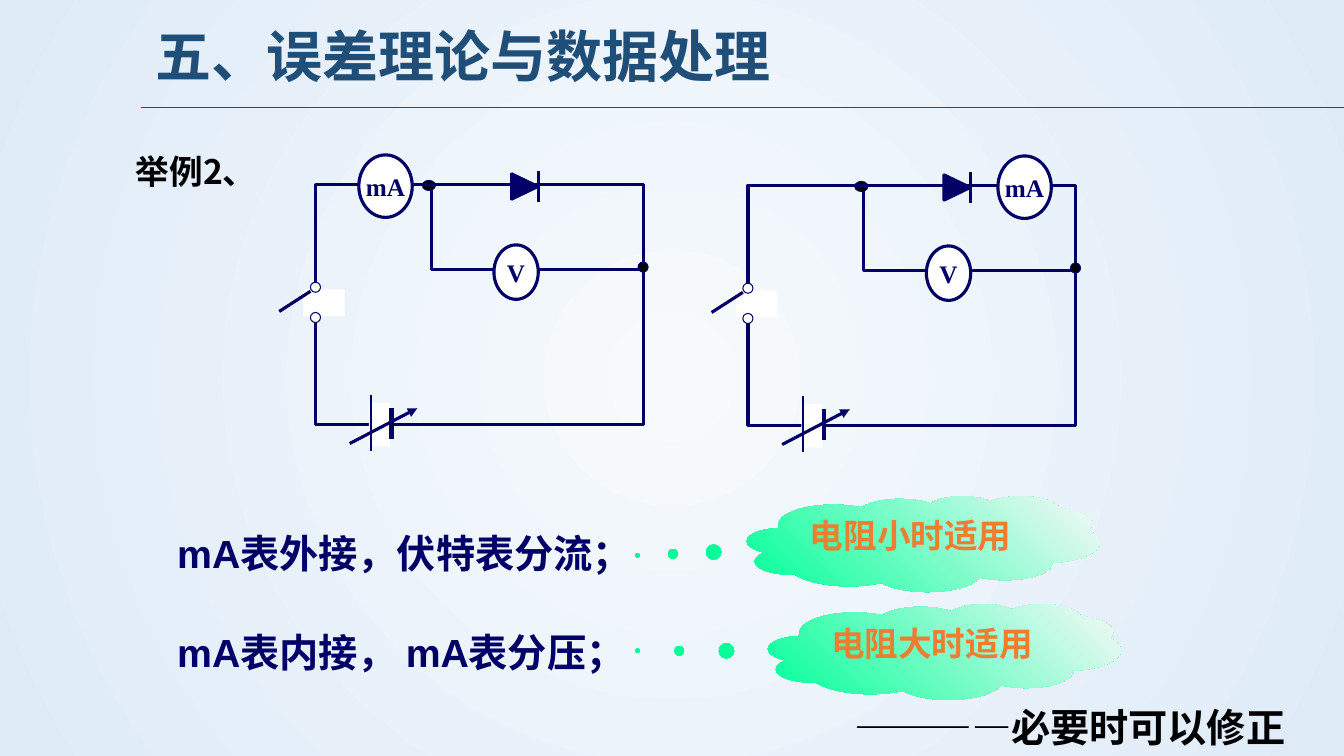
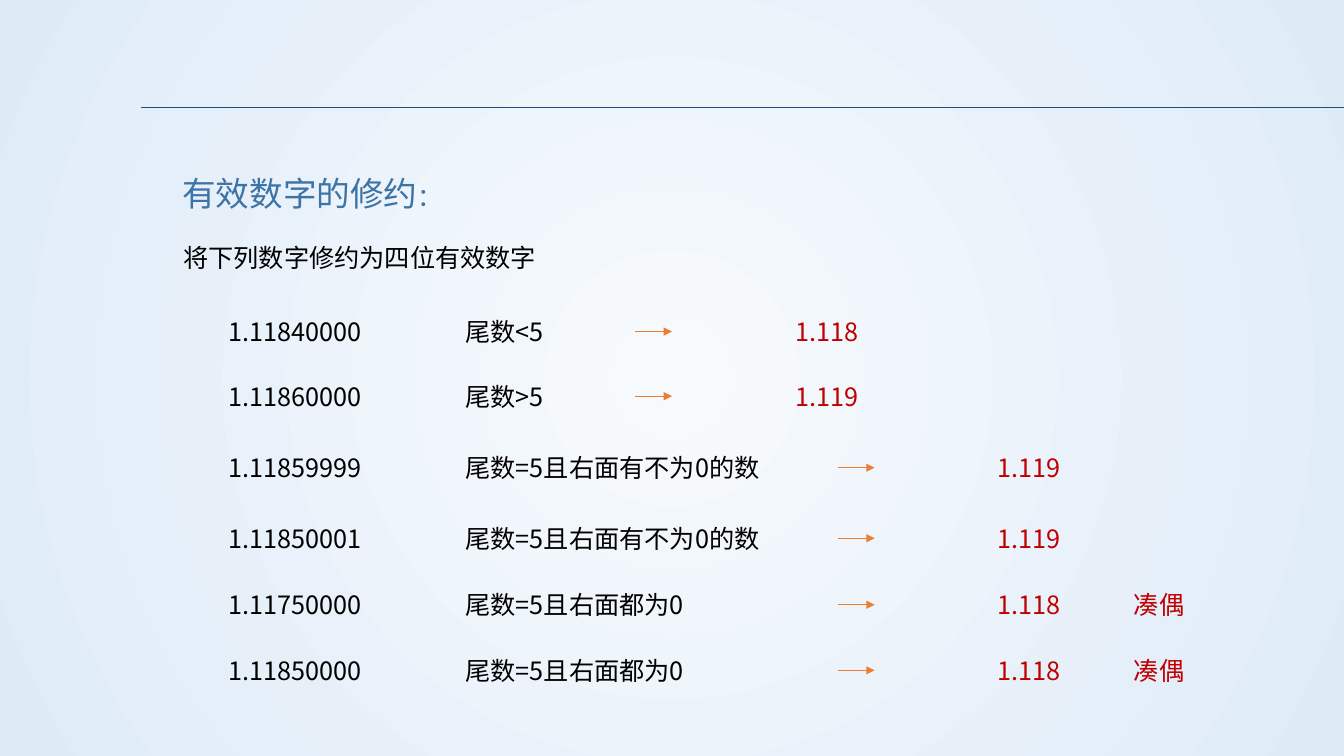
from dataclasses import dataclass, replace

from lxml.etree import SubElement
from pptx import Presentation
from pptx.dml.color import RGBColor
from pptx.enum.shapes import MSO_CONNECTOR as Link, MSO_SHAPE as Preset
from pptx.enum.text import MSO_ANCHOR as Anchor, PP_ALIGN as Align
from pptx.oxml.ns import qn
from pptx.util import Inches, Pt

WIDTH, HEIGHT = Inches(13.33), Inches(7.5)
COLUMNS, ROWS = 80, 45
NAVY, TITLE_BLUE, HEADING_BLUE = "000066", "1F4E79", "3D74A7"
BLACK, WHITE, RED, ORANGE = "000000", "FFFFFF", "C00000", "ED7D31"
SKY, MINT = ("F7FAFD", "DEEBF7"), ("00FF99", "F8F8F8")
SANS = "Noto Sans CJK SC"


@dataclass(frozen=True)
class Type:
    """Look of a run of text."""
    size: float
    color: str = BLACK
    bold: bool = False
    font: str = SANS


TITLE = Type(40, TITLE_BLUE, True)
EXAMPLE = Type(24, BLACK, True)
CLAIM = Type(28, NAVY, True, "Arial")
METER = Type(18, NAVY, True, "Times New Roman")
CONDITION = Type(24, ORANGE, True, "Arial")
HEADING = Type(24, HEADING_BLUE)
BODY = Type(18)
ROUNDED = replace(BODY, color=RED)


def rgb(hex_color):
    """Turn a hex string into a colour."""
    return RGBColor.from_string(hex_color)


def col(count):
    """Length of a number of grid columns."""
    return round(WIDTH * count / COLUMNS)


def row(count):
    """Length of a number of grid rows."""
    return round(HEIGHT * count / ROWS)


def area(left, top, width, height):
    """Place and size of a block of grid cells."""
    return col(left), row(top), col(width), row(height)


def write(paragraph, *pieces):
    """Add each (words, type) piece as a run."""
    for words, look in pieces:
        run = paragraph.add_run()
        run.text = words
        font = run.font
        font.size, font.bold, font.name = Pt(look.size), look.bold, look.font
        font.color.rgb = rgb(look.color)
        SubElement(run._r.get_or_add_rPr(), qn("a:ea"), typeface=SANS)


def label(slide, block, *pieces, spacing=None, anchor=Anchor.TOP):
    """Add a text box on a block of the grid."""
    frame = slide.shapes.add_textbox(*area(*block)).text_frame
    frame.word_wrap, frame.vertical_anchor = True, anchor
    paragraph = frame.paragraphs[0]
    if spacing:
        paragraph.line_spacing = spacing
    write(paragraph, *pieces)


def blend(fill, colors):
    """Give a fill a two-colour gradient."""
    fill.gradient()
    for stop, color in zip(fill.gradient_stops, colors):
        stop.color.rgb = rgb(color)


def solid(slide, preset, block, fill, weight=None):
    """Add a plain preset shape, outlined in navy if it has a weight."""
    shape = slide.shapes.add_shape(preset, *area(*block))
    shape.shadow.inherit = False
    shape.fill.solid()
    shape.fill.fore_color.rgb = rgb(fill)
    if weight:
        shape.line.color.rgb, shape.line.width = rgb(NAVY), Pt(weight)
    else:
        shape.line.fill.background()
    return shape


def disc(slide, x, y, width, height, fill, weight=0.75):
    """Add an ellipse around a centre."""
    block = x - width / 2, y - height / 2, width, height
    return solid(slide, Preset.OVAL, block, fill, weight)


def stroke(slide, start, end, color=NAVY, weight=2.25, arrow=False):
    """Add a straight line, with an arrowhead on request."""
    line = slide.shapes.add_connector(
        Link.STRAIGHT, col(start[0]), row(start[1]), col(end[0]), row(end[1]))
    line.line.color.rgb, line.line.width = rgb(color), Pt(weight)
    if arrow:
        SubElement(line.line._get_or_add_ln(), qn("a:tailEnd"), type="triangle")
    SubElement(line._element.spPr, qn("a:effectLst"))
    return line


def wire(slide, points, closed=False):
    """Add a bent wire through grid points."""
    (x, y), *rest = [(col(x), row(y)) for x, y in points]
    builder = slide.shapes.build_freeform(x, y)
    builder.add_line_segments(rest, close=closed)
    shape = builder.convert_to_shape()
    shape.shadow.inherit = False
    shape.fill.background()
    shape.line.color.rgb, shape.line.width = rgb(NAVY), Pt(2.25)


def meter(slide, symbol, x, y, width, height):
    """Add a round meter with its symbol."""
    frame = disc(slide, x, y, width, height, WHITE, 2.25).text_frame
    frame.margin_left = frame.margin_right = 0
    frame.margin_top = frame.margin_bottom = 0
    frame.word_wrap, frame.vertical_anchor = False, Anchor.MIDDLE
    frame.paragraphs[0].alignment = Align.CENTER
    write(frame.paragraphs[0], (symbol, METER))


def circuit(slide, left, top, ammeter):
    """Draw a diode circuit; ammeter is its distance along the top wire."""
    def at(x, y, *size):
        return left + x, top + y, *size

    right, bottom, tap = 19.5, 14.28, 6.9
    wire(slide, [at(tap, 0), at(tap, 5.04), at(right, 5.04)])
    disc(slide, *at(6.75, 0.06, 0.78, 0.6), BLACK)
    wire(slide, [at(0, 0), at(right, 0), at(right, bottom), at(0, bottom)], True)
    disc(slide, *at(right, 4.92, 0.6, 0.6), BLACK)

    solid(slide, Preset.RECTANGLE, at(-0.72, 6.24, 2.46, 1.62), WHITE)
    for contact in (6.12, 7.92):
        disc(slide, *at(0, contact, 0.6, 0.6), WHITE)
    stroke(slide, at(-0.3, 6.36), at(-2.16, 7.56))

    meter(slide, "V", *at(11.94, 5.22, 2.64, 3.24))
    diode = solid(slide, Preset.ISOSCELES_TRIANGLE,
                  at(11.7, -0.66, 1.5, 1.56), NAVY, 2.25)
    diode.rotation = 90
    stroke(slide, at(13.26, -0.78), at(13.26, 1.02))

    solid(slide, Preset.RECTANGLE, at(3.18, 13.02, 1.26, 2.58), WHITE)
    stroke(slide, at(3.3, 12.54), at(3.3, 15.84), weight=1.5)
    stroke(slide, at(4.53, 13.32), at(4.53, 15.18), weight=3)
    stroke(slide, at(2.04, 15.42), at(6.06, 13.32), arrow=True)
    meter(slide, "mA", *at(ammeter, 0.1, 3.18, 3.72))


def cloud(slide, left, top, words, tail):
    """Add a mint thought cloud whose bubbles lead to the tail."""
    shape = solid(slide, Preset.CLOUD_CALLOUT, (left, top, 21, 5.7), WHITE)
    blend(shape.fill, MINT)
    shape.fill.gradient_angle = 45
    for index, share in enumerate(tail):
        shape.adjustments[index] = share
    frame = shape.text_frame
    frame.word_wrap, frame.vertical_anchor = True, Anchor.TOP
    frame.paragraphs[0].alignment = Align.CENTER
    write(frame.paragraphs[0], (words, CONDITION))


def dress_master(deck, slide):
    """Put the radial background and the title rule on the master."""
    master = deck.slide_master
    blend(master.background.fill, SKY)
    gradient = master.element.find(".//" + qn("a:gradFill"))
    gradient.remove(gradient.find(qn("a:lin")))
    radial = SubElement(gradient, qn("a:path"))
    radial.set("path", "circle")
    centre = dict.fromkeys("ltrb", "50000")
    SubElement(radial, qn("a:fillToRect"), centre)
    rule = stroke(slide, (8.4, 6.4), (COLUMNS, 6.4), TITLE_BLUE, 1.25)
    master.shapes._spTree.append(rule._element)


def circuits_slide(slide):
    """Compare the two ways of connecting the ammeter."""
    label(slide, (8.64, 0.6, 68.6, 5.88), ("五、误差理论与数据处理", TITLE),
          spacing=0.9, anchor=Anchor.MIDDLE)
    label(slide, (7.5, 7.5, 40, 3.84), ("举例2、", EXAMPLE), spacing=1.5)
    circuit(slide, 18.78, 10.98, ammeter=4.17)
    circuit(slide, 44.52, 11.04, ammeter=16.47)
    label(slide, (9.96, 31.2, 29, 3.4), ("mA表外接，伏特表分流；", CLAIM))
    label(slide, (9.96, 37.1, 29, 3.4), ("mA表内接， mA表分压；", CLAIM))
    cloud(slide, 44.46, 29.52, "电阻小时适用", (-0.81, 0.12))
    cloud(slide, 45.72, 35.94, "电阻大时适用", (-0.87, -0.01))
    label(slide, (50.28, 41.58, 28, 3.4),
          ("————", replace(CLAIM, color=BLACK, font=SANS)),
          ("必要时可以修正", replace(CLAIM, color=BLACK)))


def rounding_slide(slide):
    """List the rounding rules, one example to a row."""
    label(slide, (10.26, 10.02, 18, 3), ("有效数字的修约", HEADING),
          ("：", replace(HEADING, size=18)))
    label(slide, (10.32, 14.16, 24, 2.4), ("将下列数字修约为四位有效数字", BODY))
    near, far = 37.8, 49.86
    nonzero, zero = "尾数=5且右面有不为0的数", "尾数=5且右面都为0"
    examples = [
        (18.54, "1.11840000", "尾数<5", 6.5, near, "1.118", ""),
        (22.38, "1.11860000", "尾数>5", 6.5, near, "1.119", ""),
        (26.64, "1.11859999", nonzero, 19.2, far, "1.119", ""),
        (30.84, "1.11850001", nonzero, 19.2, far, "1.119", ""),
        (34.8, "1.11750000", zero, 14.6, far, "1.118", "凑偶"),
        (38.7, "1.11850000", zero, 14.6, far, "1.118", "凑偶"),
    ]
    for top, number, case, width, arrow, result, remark in examples:
        label(slide, (13.02, top, 9.6, 2.4), (number, BODY))
        label(slide, (27.12, top, width, 2.4), (case, BODY))
        stroke(slide, (arrow, top + 1.2), (arrow + 2.2, top + 1.2),
               ORANGE, 0.5, arrow=True)
        label(slide, (arrow + 8.95, top, 5.1, 2.4), (result, ROUNDED))
        if remark:
            label(slide, (66.9, top, 4.5, 2.4), (remark, ROUNDED))


def main():
    """Build and save the deck."""
    deck = Presentation()
    deck.slide_width, deck.slide_height = WIDTH, HEIGHT
    blank = deck.slide_layouts[6]
    first, second = (deck.slides.add_slide(blank) for _ in range(2))
    dress_master(deck, first)
    circuits_slide(first)
    rounding_slide(second)
    deck.save("out.pptx")


if __name__ == "__main__":
    main()
